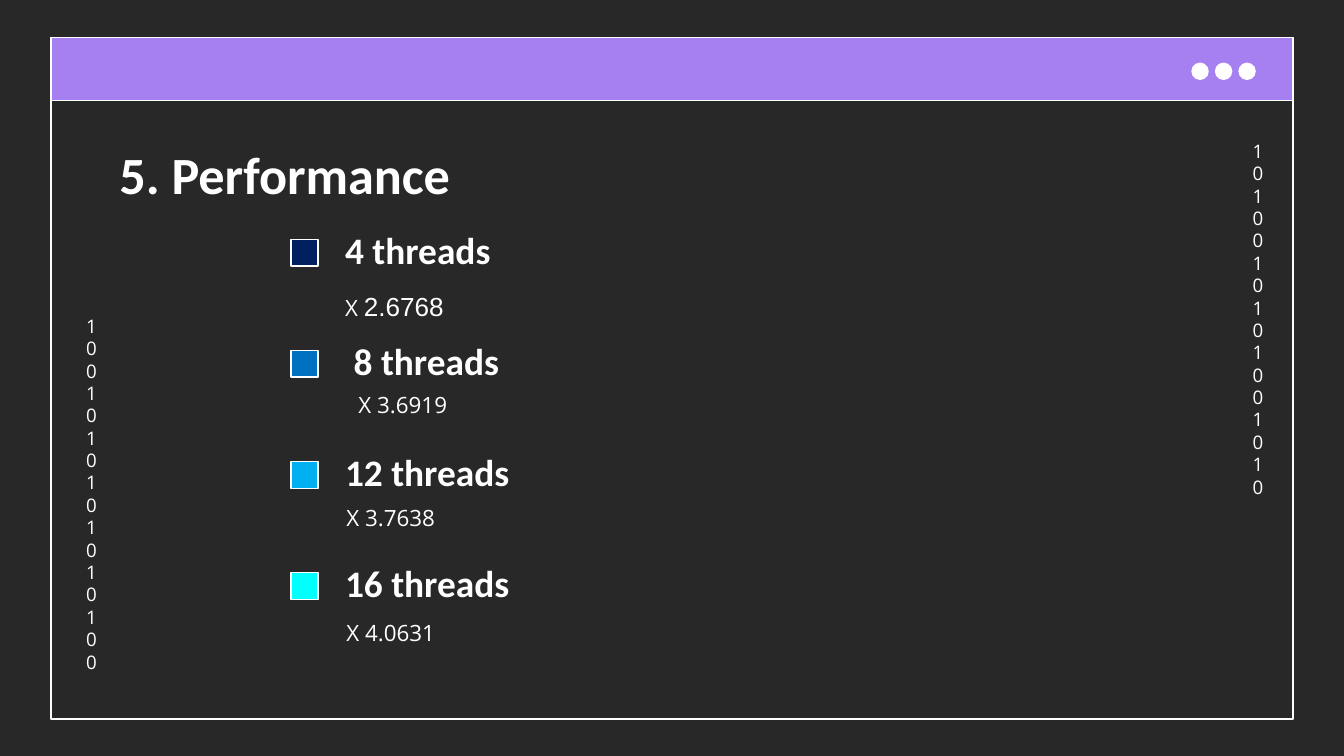
"""Build the thread performance slide with its window frame and speed-up list."""
from pptx import Presentation
from pptx.dml.color import RGBColor
from pptx.enum.shapes import MSO_SHAPE
from pptx.enum.text import MSO_ANCHOR, PP_ALIGN
from pptx.util import Pt

COLORS = {"background": "292828", "bar": "A67FF1", "white": "FFFFFF"}
INSET = 7.2

deck = Presentation()
deck.slide_width, deck.slide_height = Pt(720), Pt(405)
slide = deck.slides.add_slide(deck.slide_layouts[6])
slide.background.fill.solid()
slide.background.fill.fore_color.rgb = RGBColor.from_string(COLORS["background"])


def add_outlined(kind, left, top, width, height, color=None):
    shape = slide.shapes.add_shape(kind, Pt(left), Pt(top), Pt(width), Pt(height))
    shape.shadow.inherit = False
    shape.line.color.rgb = RGBColor.from_string(COLORS["white"])
    shape.line.width = Pt(0.75)
    if color:
        shape.fill.solid()
        shape.fill.fore_color.rgb = RGBColor.from_string(color)
    else:
        shape.fill.background()


def add_text(text, left, top, width, height, font, size, bold=False, anchor=MSO_ANCHOR.TOP):
    frame = slide.shapes.add_textbox(Pt(left), Pt(top), Pt(width), Pt(height)).text_frame
    frame.word_wrap = True
    frame.vertical_anchor = anchor
    frame.margin_left = frame.margin_right = Pt(INSET)
    frame.margin_top = frame.margin_bottom = Pt(INSET)
    paragraph = frame.paragraphs[0]
    paragraph.text = text
    paragraph.font.name = font
    paragraph.font.size = Pt(size)
    paragraph.font.bold = bold
    paragraph.font.color.rgb = RGBColor.from_string(COLORS["white"])
    return frame


add_outlined(MSO_SHAPE.RECTANGLE, 27.4, 20.2, 665.2, 365)
add_outlined(MSO_SHAPE.RECTANGLE, 27.4, 20.2, 665.2, 33.6, COLORS["bar"])
for dot in range(3):
    add_outlined(MSO_SHAPE.OVAL, 638.6 + 12.6 * dot, 33.9, 8.6, 8.6, COLORS["white"])

for bits, left, top in [("1010010101001010", 664, 67.7), ("1001010101010100", 39, 161.4)]:
    column = add_text(bits, left, top, 17.2, 201.6, "Open Sans", 10).paragraphs[0]
    column.alignment = PP_ALIGN.CENTER
    column.line_spacing = Pt(12)

add_text("5. Performance", 56.9, 69.1, 607, 45.4, "Calibri", 28, bold=True)

results = [
    ("4 threads", "X ", "002060", 177.8, 148.3, INSET),
    ("8 threads", "X 3.6919", "0070C0", 185, 204.5, INSET + 4.5),
    ("12 threads", "X 3.7638", "00B0F0", 178.5, 265, INSET),
    ("16 threads", "X 4.0631", "00FFFF", 178.5, 326.9, INSET),
]
speedups = []
for row, (threads, speedup, color, left, top, indent) in enumerate(results):
    row_top = 124.6 + 59.5 * row
    add_outlined(MSO_SHAPE.RECTANGLE, 156, row_top + 3.6, 14.4, 14.4, color)
    label = add_text(threads, 177.8, row_top, 161.3, 28.1, "Calibri", 20, True, MSO_ANCHOR.BOTTOM)
    label.margin_left = Pt(indent)
    speedups.append(add_text(speedup, left, top, 161.3, 28.1, "Open Sans", 12).paragraphs[0])

for paragraph in speedups[1:]:
    paragraph.line_spacing = 0.9
first_value = speedups[0].add_run()
first_value.text = "2.6768"
first_value.font.name = "Arial"
first_value.font.size = Pt(14)

deck.save("out.pptx")
